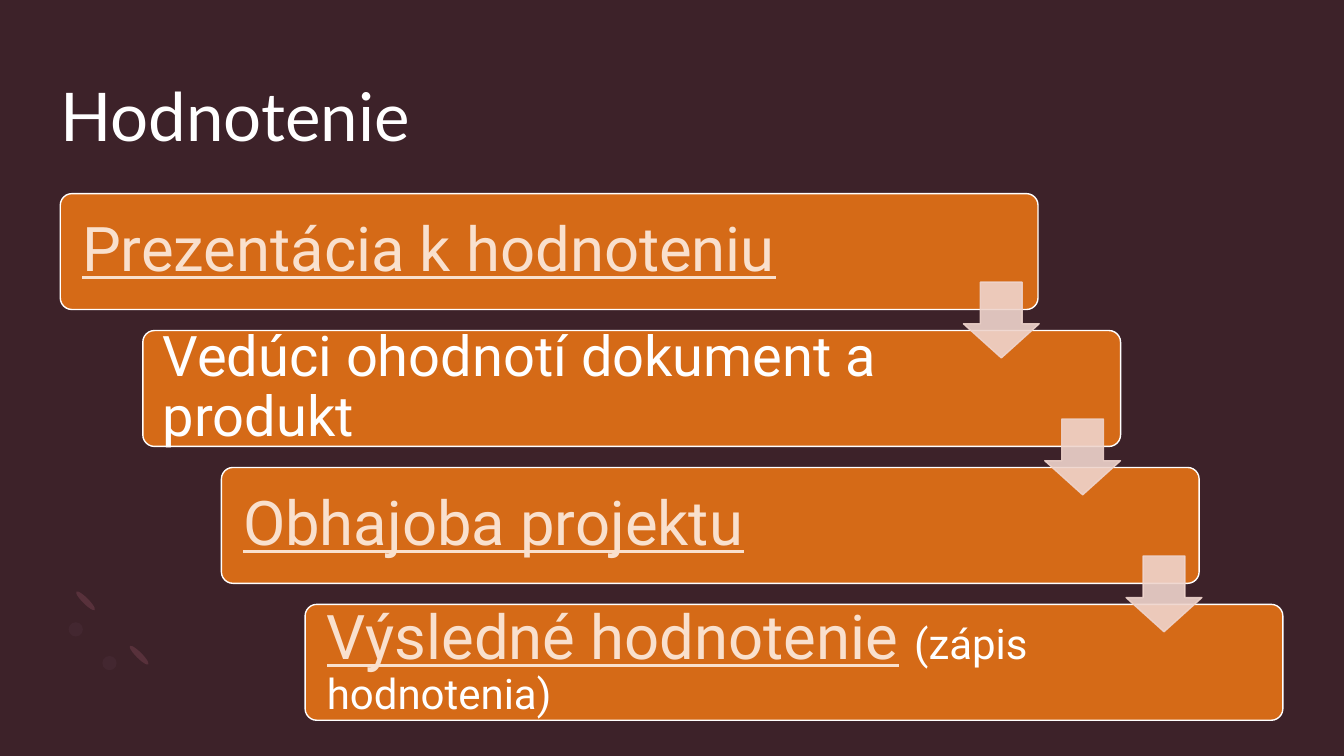
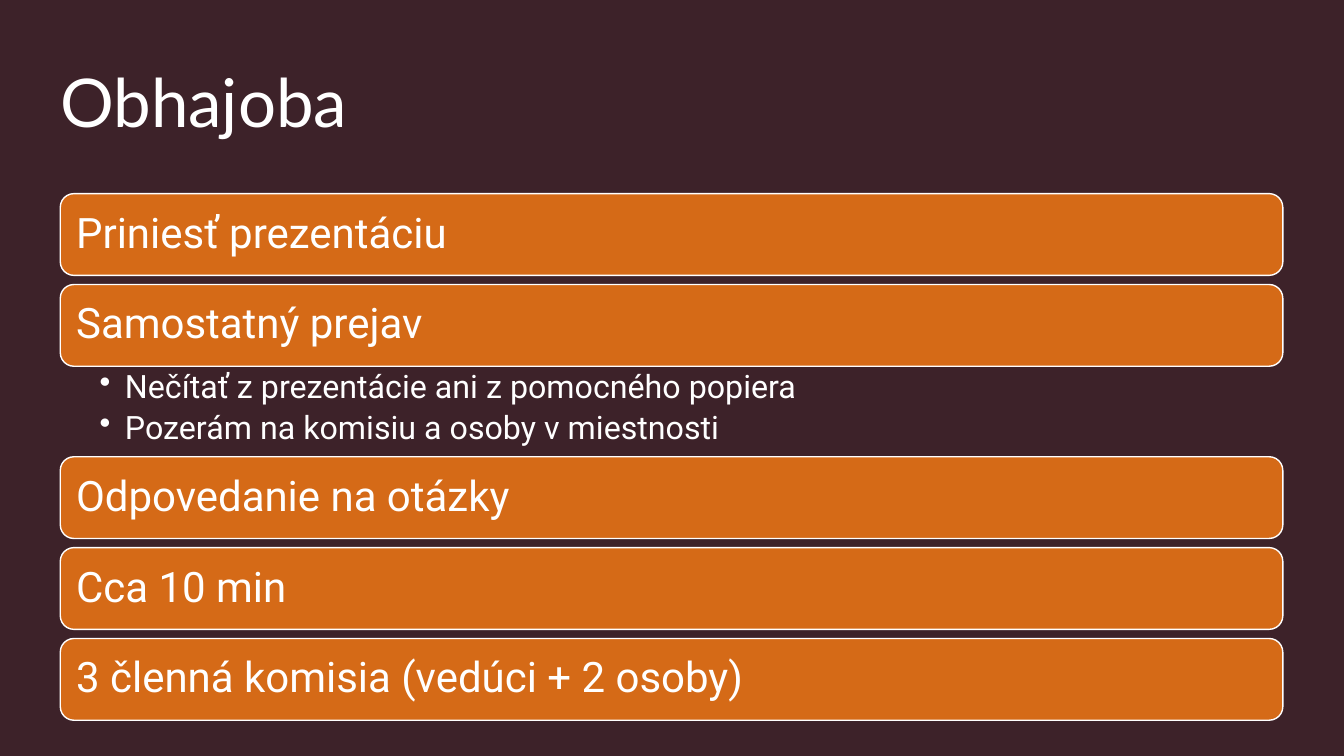
import pptx
import pptx.util
import pptx.dml.color
import pptx.enum.shapes
import pptx.enum.text
import pptx.oxml.ns
from lxml import etree

Cm = pptx.util.Cm
Pt = pptx.util.Pt
RGBColor = pptx.dml.color.RGBColor
MSO_SHAPE = pptx.enum.shapes.MSO_SHAPE
MSO_ANCHOR = pptx.enum.text.MSO_ANCHOR
PP_ALIGN = pptx.enum.text.PP_ALIGN
qn = pptx.oxml.ns.qn

BACKGROUND = RGBColor(0x3D, 0x22, 0x29)
ORANGE = RGBColor(0xD5, 0x6A, 0x17)
WHITE = RGBColor(0xFF, 0xFF, 0xFF)
LINK = RGBColor(0xF9, 0xE0, 0xCD)
ARROW = RGBColor(0xEF, 0xD4, 0xCC)
PETAL = RGBColor(0x58, 0x31, 0x3B)
FAINT_DOT = RGBColor(0x43, 0x27, 0x30)

MARGIN = 1.52
CONTENT_TOP = 4.88
CONTENT_WIDTH = 30.81


def add_filled(slide, kind, left, top, width, height, fill, line=None):
    """Add a preset shape, measured in centimetres."""
    shape = slide.shapes.add_shape(kind, Cm(left), Cm(top), Cm(width), Cm(height))
    shape.shadow.inherit = False
    shape.fill.solid()
    shape.fill.fore_color.rgb = fill
    if line is None:
        shape.line.fill.background()
    else:
        shape.line.color.rgb = line
        shape.line.width = Pt(1)
    return shape


def set_text(shape, lines, size, anchor, font="Roboto", insets=(0, 0), spacing=0.9):
    """Fill a shape with left-aligned white lines; insets are left and right."""
    frame = shape.text_frame
    frame.word_wrap = True
    frame.vertical_anchor = anchor
    frame.margin_left, frame.margin_right = Cm(insets[0]), Cm(insets[1])
    frame.margin_top = frame.margin_bottom = 0
    frame.text = "\n".join(lines)
    for paragraph in frame.paragraphs:
        paragraph.alignment = PP_ALIGN.LEFT
        paragraph.line_spacing = spacing
        paragraph.font.name = font
        paragraph.font.size = Pt(size)
        for run in paragraph.runs:
            run.font.name = font
            run.font.size = Pt(size)
            run.font.color.rgb = WHITE
    return frame


presentation = pptx.Presentation()
presentation.slide_width = Cm(33.87)
presentation.slide_height = Cm(19.05)

# Shared background and titles
slides = []
for title, width, height, anchor in [
    ("Hodnotenie", 20.3, 2.74, MSO_ANCHOR.MIDDLE),
    ("Obhajoba", CONTENT_WIDTH, 3.71, MSO_ANCHOR.TOP),
]:
    slide = presentation.slides.add_slide(presentation.slide_layouts[6])
    slide.background.fill.solid()
    slide.background.fill.fore_color.rgb = BACKGROUND
    title_box = slide.shapes.add_textbox(Cm(MARGIN), Cm(MARGIN), Cm(width), Cm(height))
    set_text(title_box, [title], 48, anchor, font="Lato", spacing=1.0)
    slides.append(slide)
grading_slide, defence_slide = slides

# Grading: corner ornament
for left, top in [(3.43, 16.18), (2.08, 14.81)]:
    petal = add_filled(grading_slide, MSO_SHAPE.OVAL, left, top, 0.15, 0.66, PETAL)
    petal.rotation = 135
for left, top in [(1.73, 15.68), (2.58, 16.53)]:
    add_filled(grading_slide, MSO_SHAPE.OVAL, left, top, 0.36, 0.36, FAINT_DOT)

# Grading: staircase of steps
STEP_PITCH = 3.45
steps = [
    (1.52, "Prezentácia k hodnoteniu", 44, True, ""),
    (3.60, "Vedúci ohodnotí dokument a produkt", 40, False, ""),
    (5.58, "Obhajoba projektu", 44, True, ""),
    (7.69, "Výsledné hodnotenie", 44, True, "(zápis hodnotenia)"),
]
for index, (left, label, size, linked, remark) in enumerate(steps):
    top = CONTENT_TOP + index * STEP_PITCH
    step = add_filled(grading_slide, MSO_SHAPE.ROUNDED_RECTANGLE,
                      left, top, 24.64, 2.92, ORANGE, WHITE)
    step.adjustments[0] = 0.1
    frame = set_text(step, [label], size, MSO_ANCHOR.MIDDLE, insets=(size / 95, 4.4))
    paragraph = frame.paragraphs[0]
    if linked:
        paragraph.runs[0].font.underline = True
        paragraph.runs[0].font.color.rgb = LINK
    if remark:
        for text, remark_size in [(" ", size), (remark, 30)]:
            run = paragraph.add_run()
            run.text = text
            run.font.name = "Roboto"
            run.font.size = Pt(remark_size)
            run.font.color.rgb = WHITE

# Grading: arrows between the steps
for index in range(len(steps) - 1):
    arrow = add_filled(grading_slide, MSO_SHAPE.DOWN_ARROW, 24.28 + index * 2.05,
                       7.11 + index * STEP_PITCH, 1.91, 1.91, ARROW, ARROW)
    arrow.adjustments[0] = 0.55
    arrow.adjustments[1] = 0.45
    for color in arrow.element.spPr.iter(qn("a:srgbClr")):
        etree.SubElement(color, qn("a:alpha"), val="90000")

# Defence: bars, one of them with bullets below
BAR_HEIGHT = 2.06
BAR_GAP = 0.23
BULLETS_HEIGHT = 2.28
bars = [
    ("Priniesť prezentáciu", []),
    ("Samostatný prejav", ["Nečítať z prezentácie ani z pomocného popiera",
                           "Pozerám na komisiu a osoby v miestnosti"]),
    ("Odpovedanie na otázky", []),
    ("Cca 10 min", []),
    ("3 členná komisia (vedúci + 2 osoby)", []),
]
top = CONTENT_TOP
for label, bullets in bars:
    bar = add_filled(defence_slide, MSO_SHAPE.ROUNDED_RECTANGLE,
                     MARGIN, top, CONTENT_WIDTH, BAR_HEIGHT, ORANGE, WHITE)
    set_text(bar, [label], 30, MSO_ANCHOR.MIDDLE, insets=(0.3, 0.3))
    top += BAR_HEIGHT
    if not bullets:
        top += BAR_GAP
        continue
    bullet_box = defence_slide.shapes.add_textbox(
        Cm(MARGIN), Cm(top), Cm(CONTENT_WIDTH), Cm(BULLETS_HEIGHT))
    frame = set_text(bullet_box, bullets, 23, MSO_ANCHOR.TOP, insets=(0.99, 0.58))
    frame.margin_top = frame.margin_bottom = Cm(0.1)
    for paragraph in frame.paragraphs:
        paragraph.space_after = Pt(4.6)
        properties = paragraph._p.get_or_add_pPr()
        properties.set("marL", str(Cm(0.64)))
        properties.set("indent", str(-Cm(0.64)))
        etree.SubElement(properties, qn("a:buChar"), char="•")
        # Bullet definitions must precede the default run properties
        properties.append(properties.find(qn("a:defRPr")))
    top += BULLETS_HEIGHT

presentation.save("out.pptx")
